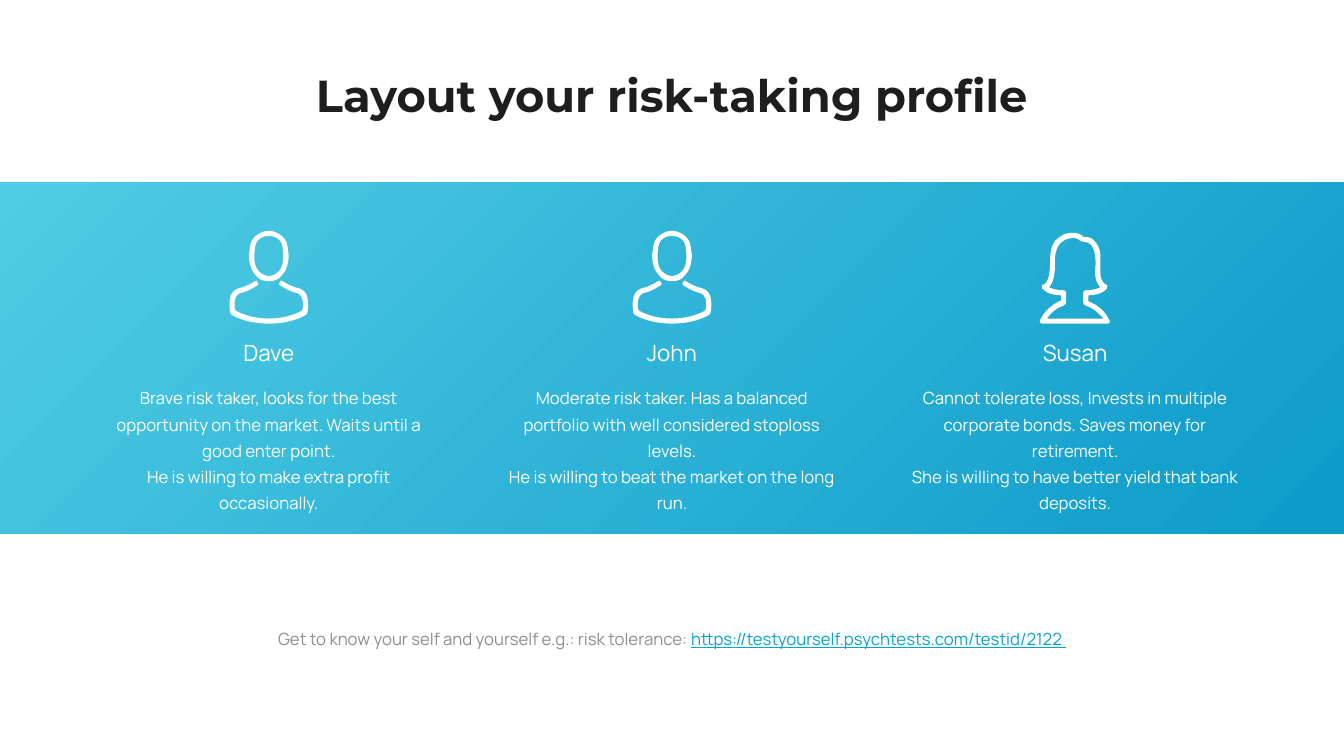
from lxml import etree
from pptx import Presentation
from pptx.dml.color import RGBColor
from pptx.enum import shapes, text
from pptx.oxml import ns
from pptx.util import Pt

COLORS = {
    "ink": "1E1E1E",
    "grey": "8E8E8E",
    "link": "00A5D0",
    "white": "FFFFFF",
    "sky": "48CAE4",
    "ocean": "0096C7",
}
HEADING_FONT, BODY_FONT = "Montserrat", "Manrope"
SLIDE_WIDTH, SLIDE_HEIGHT = 960, 540
MARGIN, CONTENT_WIDTH = 66, 828
COLUMN_WIDTH, COLUMN_STEP = 252, 288
ICON_TOP, ICON_UNIT = 164.9, 0.72

HEAD_OUTER = [(0, 50), (6, 50, 10, 48, 13, 44), (21, 36, 20, 21, 19, 20),
              (19, 10, 14, 5, 10, 3), (7, 1, 4, 0, 0, 0)]
HEAD_INNER = [(0, 45), (5, 44, 7, 43, 10, 40), (16, 34, 14, 21, 14, 20),
              (14, 7, 5, 5, 0, 5)]
SHOULDERS = [(0, 92), (23, 92, 36, 84, 37, 83), (37, 83, 38, 82, 38, 82),
             (39, 79, 39, 74, 39, 73), (39, 69, 39, 60, 30, 57),
             (21, 55, 14, 50, 14, 50), (13, 49, 11, 49, 11, 51),
             (10, 52, 10, 53, 11, 54), (12, 54, 19, 60, 29, 62),
             (33, 64, 34, 69, 34, 73), (34, 75, 34, 78, 33, 79),
             (30, 81, 18, 87, 0, 87)]
WOMAN_OUTER = [(-33, 92), (32, 92), (33, 92, 34, 92, 34, 91),
               (35, 90, 35, 89, 34, 89), (30, 80, 22, 73, 13, 70), (13, 64),
               (18, 64, 26, 63, 31, 58), (32, 57, 32, 56, 32, 55),
               (32, 54, 31, 53, 30, 53), (30, 53, 24, 51, 25, 37),
               (25, 32, 25, 27, 25, 22), (24, 17, 22, 13, 19, 10),
               (17, 7, 13, 6, 9, 6), (8, 6), (7, 4, 3, 2, -2, 2),
               (-5, 2, -7, 2, -10, 3), (-12, 4, -16, 6, -20, 10),
               (-24, 15, -25, 23, -25, 33), (-25, 43, -27, 48, -28, 50),
               (-29, 52, -30, 53, -31, 53), (-32, 53, -32, 53, -33, 54),
               (-33, 55, -33, 56, -33, 57), (-32, 57, -31, 59, -28, 61),
               (-24, 63, -20, 64, -14, 64), (-14, 69),
               (-23, 73, -31, 80, -35, 89), (-35, 89, -35, 90, -35, 91),
               (-34, 92, -34, 92, -33, 92)]
WOMAN_INNER = [(-28, 87), (-24, 81, -18, 76, -11, 74),
               (-10, 73, -9, 72, -9, 71), (-9, 62),
               (-9, 61, -9, 60, -10, 60), (-10, 59, -11, 59, -12, 59),
               (-19, 59, -24, 57, -26, 56), (-26, 56, -26, 56, -25, 55),
               (-22, 51, -20, 44, -20, 33), (-21, 13, -12, 10, -8, 8),
               (-6, 8, -4, 7, -2, 7), (3, 7, 5, 10, 5, 10),
               (6, 11, 7, 11, 8, 11), (9, 11), (12, 11, 14, 12, 16, 14),
               (19, 18, 21, 26, 20, 37), (19, 48, 22, 53, 25, 56),
               (21, 58, 15, 59, 11, 59), (10, 59, 9, 59, 9, 60),
               (8, 60, 8, 61, 8, 62), (8, 71), (8, 73, 9, 73, 10, 74),
               (17, 76, 23, 81, 28, 87)]


def color(name):
    return RGBColor.from_string(COLORS[name])


def mirrored(half):
    other_half = []
    for before, segment in reversed(list(zip(half, half[1:]))):
        x1, y1, x2, y2 = segment[:4]
        x0, y0 = before[-2:]
        other_half.append((-x2, y2, -x1, y1, -x0, y0))
    return half + other_half


def place(center, x, y):
    return Pt(center + x * ICON_UNIT), Pt(ICON_TOP + y * ICON_UNIT)


def bend(icon, center, segments):
    lines = list(icon._element.iter(ns.qn("a:lnTo")))
    for line, segment in zip(lines, segments):
        if len(segment) == 2:
            continue
        line.tag = ns.qn("a:cubicBezTo")
        for index in (0, 2):
            x, y = place(center, *segment[index:index + 2])
            control = etree.Element(ns.qn("a:pt"), x=str(x - icon.left), y=str(y - icon.top))
            line.insert(index // 2, control)


def add_icon(slide, center, contours):
    outline = None
    for contour in contours:
        start, *corners = [place(center, *segment[-2:]) for segment in contour]
        if outline is None:
            outline = slide.shapes.build_freeform(*start)
        else:
            outline.move_to(*start)
        outline.add_line_segments(corners, close=True)
    icon = outline.convert_to_shape()
    bend(icon, center, [segment for contour in contours for segment in contour[1:]])
    icon.shadow.inherit = False
    icon.fill.solid()
    icon.fill.fore_color.rgb = color("white")
    icon.line.fill.background()


def add_band(slide):
    band = slide.shapes.add_shape(shapes.MSO_SHAPE.RECTANGLE, 0, Pt(130.2),
                                  Pt(SLIDE_WIDTH), Pt(250.8))
    band.shadow.inherit = False
    band.line.fill.background()
    band.fill.gradient()
    band.fill.gradient_angle = 315
    for stop, name, position in zip(band.fill.gradient_stops, ("sky", "ocean"), (0, 1)):
        stop.color.rgb = color(name)
        stop.position = position
    for tint in band._element.spPr.iter(ns.qn("a:srgbClr")):
        etree.SubElement(tint, ns.qn("a:alpha")).set("val", "95000")


def format_run(run, size, tone, font=BODY_FONT, bold=False):
    run.font.size = Pt(size)
    run.font.name = font
    run.font.bold = bold
    run.font.color.rgb = color(tone)


def write(box, words, size, tone, spacing=1.3, **style):
    frame = box.text_frame
    frame.word_wrap = True
    frame.auto_size = text.MSO_AUTO_SIZE.SHAPE_TO_FIT_TEXT
    frame.vertical_anchor = text.MSO_ANCHOR.TOP
    paragraph = frame.paragraphs[0]
    paragraph.text = words
    paragraph.alignment = text.PP_ALIGN.CENTER
    paragraph.line_spacing = spacing
    for run in paragraph.runs:
        format_run(run, size, tone, **style)
    return paragraph


def add_text(parent, left, top, width, height, *words_and_style, **style):
    box = parent.shapes.add_textbox(Pt(left), Pt(top), Pt(width), Pt(height))
    return write(box, *words_and_style, **style)


def add_title(slide, words):
    title = slide.shapes.title
    title.left, title.top = Pt(MARGIN), Pt(33.1)
    title.width, title.height = Pt(CONTENT_WIDTH), Pt(53.3)
    write(title, words, 32, "ink", font=HEADING_FONT, bold=True)


def add_profile(slide, left, name, description):
    profile = slide.shapes.add_group_shape()
    add_text(profile, left, 239, COLUMN_WIDTH, 26.6, name, 16, "white", spacing=1)
    add_text(profile, left, 269.4, COLUMN_WIDTH, 100.8, description, 12, "white")


def add_footer(slide, words, address):
    sentence = add_text(slide, MARGIN, 441.4, CONTENT_WIDTH, 25.2, words, 12, "grey")
    link = sentence.add_run()
    link.text = address
    format_run(link, 12, "link")
    link.font.underline = True


def main():
    deck = Presentation()
    deck.slide_width, deck.slide_height = Pt(SLIDE_WIDTH), Pt(SLIDE_HEIGHT)
    slide = deck.slides.add_slide(deck.slide_layouts.get_by_name("Title Only"))
    man = [mirrored(part) for part in (HEAD_OUTER, HEAD_INNER, SHOULDERS)]
    woman = [WOMAN_OUTER, WOMAN_INNER]
    profiles = [
        ("Dave", "Brave risk taker, looks for the best opportunity on the market. "
         "Waits until a good enter point.\n"
         "He is willing to make extra profit occasionally."),
        ("John", "Moderate risk taker. Has a balanced portfolio with well "
         "considered stoploss levels.\n"
         "He is willing to beat the market on the long run."),
        ("Susan", "Cannot tolerate loss, Invests in multiple corporate bonds. "
         "Saves money for retirement.\n"
         "She is willing to have better yield that bank deposits."),
    ]
    lefts = [MARGIN + column * COLUMN_STEP for column in range(len(profiles))]
    add_band(slide)
    add_title(slide, "Layout your risk-taking profile")
    add_footer(slide, "Get to know your self and yourself e.g.: risk tolerance: ",
               "https://testyourself.psychtests.com/testid/2122 ")
    for left, profile in zip(lefts, profiles):
        add_profile(slide, left, *profile)
    for left, contours in zip(lefts, (man, man, woman)):
        add_icon(slide, left + COLUMN_WIDTH / 2, contours)
    deck.save("out.pptx")


if __name__ == "__main__":
    main()
